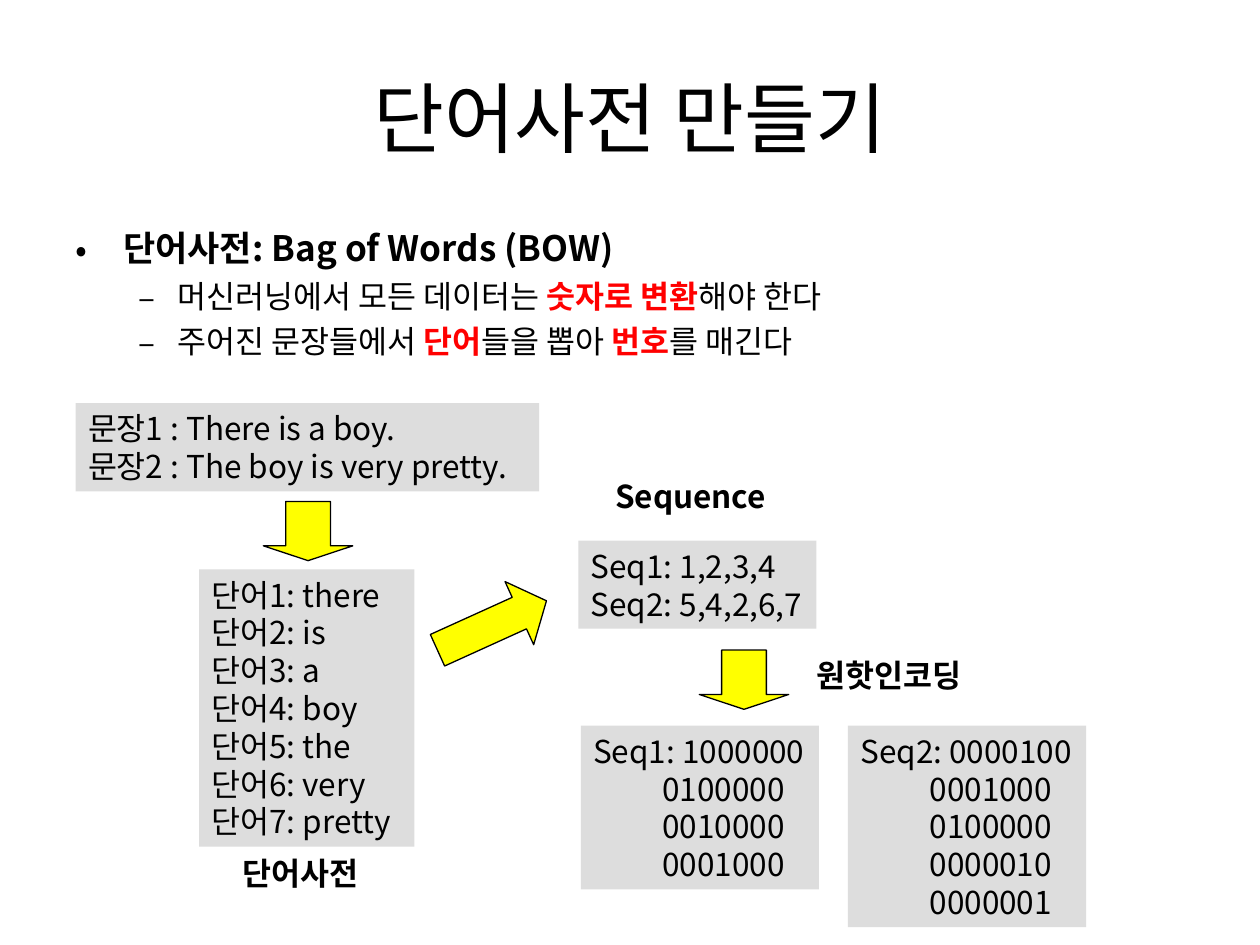
from dataclasses import dataclass

from lxml.etree import SubElement
from pptx import Presentation
from pptx.dml.color import RGBColor
from pptx.enum.shapes import MSO_SHAPE
from pptx.enum.text import MSO_ANCHOR, MSO_AUTO_SIZE, PP_ALIGN
from pptx.oxml.ns import qn
from pptx.util import Inches, Pt

FONT = "Noto Sans CJK KR"
COLORS = {"ink": "000000", "red": "FF0000", "gray": "DDDDDD", "gold": "FFFF00"}
HANG = 0.55


@dataclass
class Card:
    x: float
    y: float
    w: float
    h: float
    lines: list[str]
    hang: bool = False


@dataclass
class Label:
    x: float
    y: float
    w: float
    text: str
    align: PP_ALIGN = PP_ALIGN.LEFT


@dataclass
class Arrow:
    kind: MSO_SHAPE
    x: float
    y: float
    w: float
    h: float
    head: float
    turn: float = 0


@dataclass
class Point:
    size: float
    mark: str
    left: float
    hang: float
    gap: float
    words: list[tuple[str, str, bool]]


CARDS = [
    Card(0.6, 3.2, 3.68, 0.7,
         ["문장1 : There is a boy.", "문장2 : The boy is very pretty."]),
    Card(1.58, 4.52, 1.71, 2.2,
         [f"단어{n}: {word}" for n, word in
          enumerate("there is a boy the very pretty".split(), 1)]),
    Card(4.59, 4.29, 1.89, 0.7, ["Seq1: 1,2,3,4", "Seq2: 5,4,2,6,7"]),
    Card(4.61, 5.76, 1.89, 1.3,
         ["Seq1: 1000000", "0100000", "0010000", "0001000"], True),
    Card(6.73, 5.76, 1.89, 1.6,
         ["Seq2: 0000100", "0001000", "0100000", "0000010", "0000001"], True),
]
ARROWS = [
    Arrow(MSO_SHAPE.DOWN_ARROW, 2.09, 3.98, 0.71, 0.47, 0.25),
    Arrow(MSO_SHAPE.RIGHT_ARROW, 3.43, 4.69, 0.95, 0.55, 0.43, 335.6),
    Arrow(MSO_SHAPE.DOWN_ARROW, 5.55, 5.16, 0.71, 0.47, 0.25),
]
LABELS = [
    Label(6.38, 5.16, 1.35, "원핫인코딩"),
    Label(1.83, 6.73, 1.12, "단어사전"),
    Label(4.78, 3.74, 1.4, "Sequence", PP_ALIGN.CENTER),
]
POINTS = [
    Point(20, "•", 0.38, 0.38, 0,
          [("단어사전: Bag of Words (BOW)", "ink", True)]),
    Point(18, "–", 0.81, 0.31, 4.5,
          [("머신러닝에서 모든 데이터는 ", "ink", False),
           ("숫자로 변환", "red", True), ("해야 한다", "ink", False)]),
    Point(18, "–", 0.81, 0.31, 4.5,
          [("주어진 문장들에서 ", "ink", False), ("단어", "red", True),
           ("들을 뽑아 ", "ink", False), ("번호", "red", True),
           ("를 매긴다", "ink", False)]),
]


def tint(name: str) -> RGBColor:
    return RGBColor.from_string(COLORS[name])


def style(run, size: float, color: str = "ink", bold: bool = False) -> None:
    run.font.size = Pt(size)
    run.font.bold = bold
    run.font.name = FONT
    run.font.color.rgb = tint(color)
    SubElement(run.font._element, qn("a:ea")).set("typeface", FONT)


def pitch(para, size: float) -> None:
    para.line_spacing = Pt(size * 1.2)


def box(slide, x: float, y: float, w: float, h: float):
    shape = slide.shapes.add_textbox(Inches(x), Inches(y), Inches(w), Inches(h))
    shape.text_frame.word_wrap = True
    return shape


def write(frame, lines: list[str], align: PP_ALIGN, bold: bool) -> None:
    frame.text = "\n".join(lines)
    frame.word_wrap = False
    frame.auto_size = MSO_AUTO_SIZE.SHAPE_TO_FIT_TEXT
    frame.vertical_anchor = MSO_ANCHOR.TOP
    for para in frame.paragraphs:
        para.alignment = align
        pitch(para, 18)
        for run in para.runs:
            style(run, 18, bold=bold)


def draw_title(slide, text: str) -> None:
    frame = box(slide, 0.5, 0.3, 9, 1.25).text_frame
    frame.text = text
    frame.vertical_anchor = MSO_ANCHOR.MIDDLE
    para = frame.paragraphs[0]
    para.alignment = PP_ALIGN.CENTER
    style(para.runs[0], 44)


def draw_points(slide, points: list[Point]) -> None:
    frame = box(slide, 0.5, 1.75, 9, 4.95).text_frame
    for i, point in enumerate(points):
        para = frame.add_paragraph() if i else frame.paragraphs[0]
        pitch(para, point.size)
        para.space_before = Pt(point.gap)
        props = para._p.get_or_add_pPr()
        props.set("marL", str(Inches(point.left)))
        props.set("indent", str(-Inches(point.hang)))
        SubElement(props, qn("a:buFont")).set("typeface", FONT)
        SubElement(props, qn("a:buChar")).set("char", point.mark)
        for text, color, bold in point.words:
            run = para.add_run()
            run.text = text
            style(run, point.size, color, bold)


def draw_card(slide, card: Card) -> None:
    shape = slide.shapes.add_shape(
        MSO_SHAPE.RECTANGLE, Inches(card.x), Inches(card.y),
        Inches(card.w), Inches(card.h))
    shape.shadow.inherit = False
    shape.fill.solid()
    shape.fill.fore_color.rgb = tint("gray")
    shape.line.fill.background()
    write(shape.text_frame, card.lines, PP_ALIGN.LEFT, False)
    if card.hang:
        for para in shape.text_frame.paragraphs[1:]:
            para._p.get_or_add_pPr().set("marL", str(Inches(HANG)))


def draw_arrow(slide, arrow: Arrow) -> None:
    shape = slide.shapes.add_shape(
        arrow.kind, Inches(arrow.x), Inches(arrow.y),
        Inches(arrow.w), Inches(arrow.h))
    shape.shadow.inherit = False
    shape.adjustments[0] = 0.5
    shape.adjustments[1] = arrow.head
    shape.rotation = arrow.turn
    shape.fill.solid()
    shape.fill.fore_color.rgb = tint("gold")
    shape.line.color.rgb = tint("ink")
    shape.line.width = Pt(0.75)


def draw_label(slide, label: Label) -> None:
    shape = box(slide, label.x, label.y, label.w, 0.4)
    write(shape.text_frame, [label.text], label.align, True)


def main() -> None:
    deck = Presentation()
    deck.slide_width, deck.slide_height = Inches(10), Inches(7.5)
    slide = deck.slides.add_slide(deck.slide_layouts[6])
    draw_title(slide, "단어사전 만들기")
    draw_points(slide, POINTS)
    for card in CARDS:
        draw_card(slide, card)
    for arrow in ARROWS:
        draw_arrow(slide, arrow)
    for label in LABELS:
        draw_label(slide, label)
    deck.save("out.pptx")


if __name__ == "__main__":
    main()
